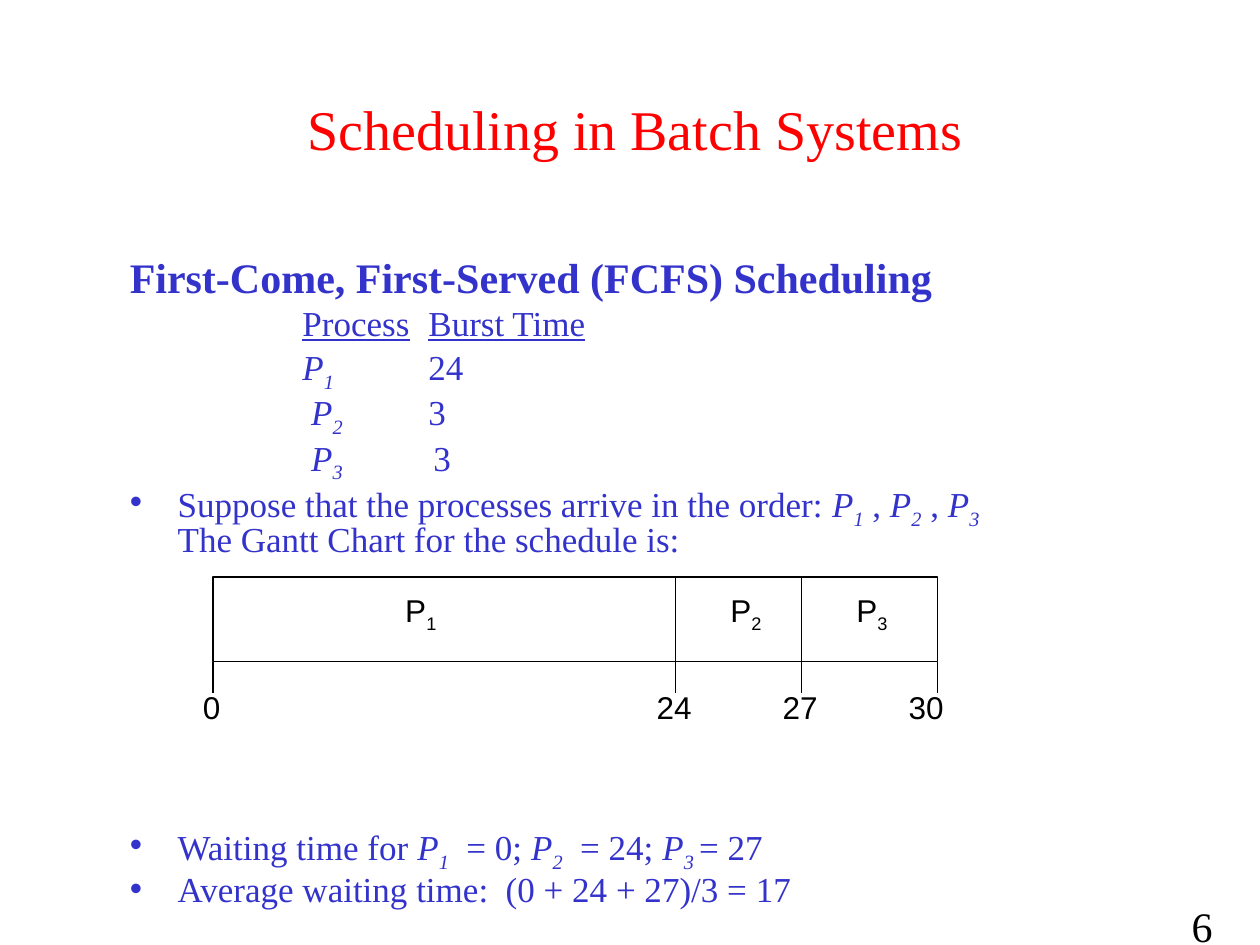
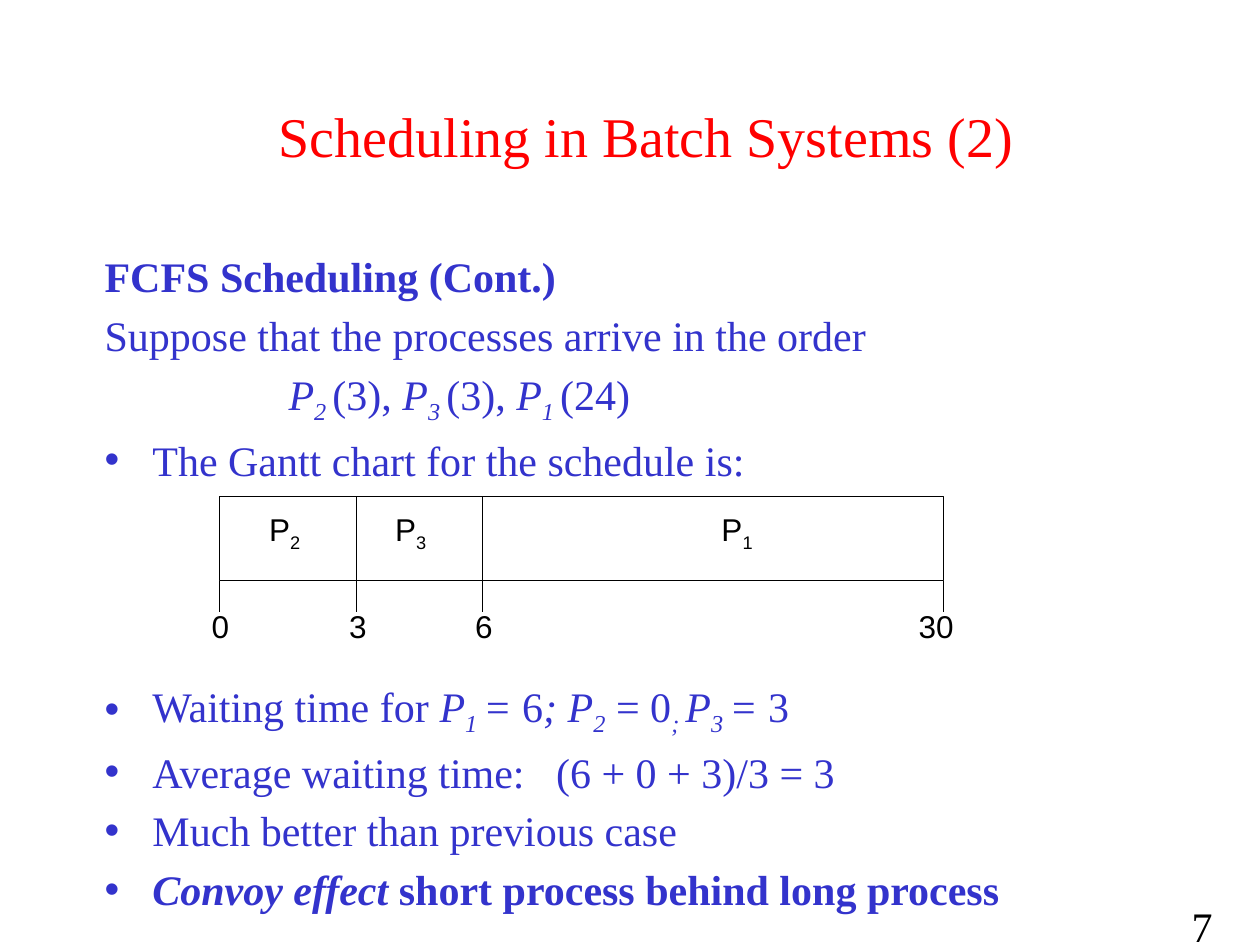
from dataclasses import dataclass

from lxml import etree
from pptx import Presentation
from pptx.dml.color import RGBColor
from pptx.enum.shapes import MSO_CONNECTOR, MSO_SHAPE
from pptx.enum.text import MSO_ANCHOR, MSO_AUTO_SIZE, PP_ALIGN
from pptx.oxml.ns import qn
from pptx.util import Inches, Pt

CENTER = PP_ALIGN.CENTER
MIDDLE = MSO_ANCHOR.MIDDLE
NO_AUTOFIT = MSO_AUTO_SIZE.NONE
STRAIGHT = MSO_CONNECTOR.STRAIGHT
RECTANGLE = MSO_SHAPE.RECTANGLE


@dataclass(frozen=True)
class Theme:
    title_color: RGBColor = RGBColor(0xFF, 0, 0)
    body_color: RGBColor = RGBColor(0x33, 0x33, 0xCC)
    ink: RGBColor = RGBColor(0, 0, 0)
    paper: RGBColor = RGBColor(0xFF, 0xFF, 0xFF)
    serif: str = "Times New Roman"
    sans: str = "Arial"
    title_size: int = 32
    heading_size: int = 24
    detail_size: int = 20
    chart_size: int = 18
    line_width: float = 0.75


THEME = Theme()
HANGING = 0.38
BAR_WIDTH, BAR_HEIGHT, TICK_LENGTH = 5.75, 0.67, 0.25


@dataclass
class Item:
    """A body paragraph; each run is (text, flags): b, i, u, s for subscript."""
    runs: list
    size: int = THEME.heading_size
    bullet: bool = False
    before: float = 4.8
    margin: float = HANGING
    indent: float = -HANGING


def process(number, tail=""):
    return [("P", "i"), (f"{number}{tail}", "is")]


# Text
def format_run(run, font_name, size, color, flags=""):
    font = run.font
    font.name, font.size = font_name, Pt(size)
    font.color.rgb = color
    font.bold, font.italic = "b" in flags, "i" in flags
    font.underline = "u" in flags
    if "s" in flags:
        run._r.get_or_add_rPr().set("baseline", "-25000")


def add_runs(paragraph, runs, font_name, size, color):
    for text, flags in runs:
        run = paragraph.add_run()
        run.text = text
        format_run(run, font_name, size, color, flags)


def place(shape, left, top, width, height):
    shape.left, shape.top = Inches(left), Inches(top)
    shape.width, shape.height = Inches(width), Inches(height)


def set_title(slide, text, box):
    title = slide.shapes.title
    place(title, *box)
    text_frame = title.text_frame
    text_frame.text = text
    text_frame.auto_size = NO_AUTOFIT
    text_frame.vertical_anchor = MIDDLE
    paragraph = text_frame.paragraphs[0]
    paragraph.alignment = CENTER
    format_run(paragraph.runs[0], THEME.serif, THEME.title_size, THEME.title_color)


def set_bullet(paragraph, visible):
    properties = paragraph._p.get_or_add_pPr()
    if visible:
        etree.SubElement(properties, qn("a:buChar")).set("char", "•")
    else:
        etree.SubElement(properties, qn("a:buNone"))


def set_body(slide, items, box, line_spacing):
    body = slide.placeholders[1]
    place(body, *box)
    text_frame = body.text_frame
    text_frame.auto_size = NO_AUTOFIT
    for index, item in enumerate(items):
        paragraph = text_frame.add_paragraph() if index else text_frame.paragraphs[0]
        paragraph.line_spacing = line_spacing
        paragraph.space_before = Pt(item.before)
        properties = paragraph._p.get_or_add_pPr()
        properties.set("marL", str(Inches(item.margin)))
        properties.set("indent", str(Inches(item.indent)))
        set_bullet(paragraph, item.bullet)
        add_runs(paragraph, item.runs, THEME.serif, item.size, THEME.body_color)


def add_slide_number(slide, number):
    box = slide.shapes.add_textbox(Inches(9.36), Inches(7.1), Inches(0.54), Inches(0.4))
    box.text_frame.word_wrap = True
    add_runs(box.text_frame.paragraphs[0], [(str(number), "")],
             THEME.serif, THEME.heading_size, THEME.ink)


# Gantt chart
def add_label(shapes, runs, center, top):
    width = 0.48
    box = shapes.add_textbox(Inches(center - width / 2), Inches(top),
                             Inches(width), Inches(0.4))
    box.text_frame.vertical_anchor = MIDDLE
    box.text_frame.word_wrap = True
    paragraph = box.text_frame.paragraphs[0]
    paragraph.alignment = CENTER
    add_runs(paragraph, runs, THEME.sans, THEME.chart_size, THEME.ink)


def add_vertical_line(shapes, x, top, bottom):
    line = shapes.add_connector(STRAIGHT, Inches(x), Inches(top), Inches(x), Inches(bottom))
    line.line.color.rgb = THEME.ink
    line.line.width = Pt(THEME.line_width)
    etree.SubElement(line._element.spPr, qn("a:effectLst"))


def add_gantt_chart(slide, left, top, bars, marks):
    """bars: (process number, label center); marks: (edge, time, label center)."""
    shapes = slide.shapes.add_group_shape().shapes
    bottom = top + BAR_HEIGHT
    frame = shapes.add_shape(RECTANGLE, Inches(left), Inches(top),
                             Inches(BAR_WIDTH), Inches(BAR_HEIGHT))
    frame.shadow.inherit = False
    frame.fill.solid()
    frame.fill.fore_color.rgb = THEME.paper
    frame.line.color.rgb = THEME.ink
    frame.line.width = Pt(THEME.line_width)
    for number, center in bars:
        add_label(shapes, [("P", ""), (str(number), "s")], center, top + 0.08)
    for edge, _, _ in marks[1:-1]:
        add_vertical_line(shapes, edge, top, bottom)
    for edge, time, center in marks:
        add_vertical_line(shapes, edge, bottom, bottom + TICK_LENGTH)
        add_label(shapes, [(str(time), "")], center, top + 0.83)


# Slides
def add_slide(presentation, number, title, title_box, items, body_box, line_spacing=1.0):
    slide = presentation.slides.add_slide(presentation.slide_layouts[1])
    add_slide_number(slide, number)
    set_title(slide, title, title_box)
    set_body(slide, items, body_box, line_spacing)
    return slide


def add_arrival_order_slide(presentation):
    small = THEME.detail_size

    def row(runs, start=1.37, column=2.37, before=4):
        return Item(runs, small, before=before, margin=column, indent=start - column)

    items = [
        Item([("First-Come, First-Served (FCFS) Scheduling", "b")], before=0),
        row([("Process", "u"), ("\t", ""), ("Burst Time", "u")], before=4.8),
        row(process(1) + [("\t24", "")]),
        row(process(2) + [("\t3", "")], start=1.44),
        row(process(3) + [("\t3", "")], start=1.44, column=2.41),
        Item([("Suppose that the processes arrive in the order: ", ""), *process(1),
              (" , ", ""), *process(2), (" , ", ""), *process(3)], small, bullet=True),
        Item([("The Gantt Chart for the schedule is:", "")], small, before=0, indent=0),
        Item([("Waiting time for ", ""), *process(1), ("  = 0; ", ""), *process(2),
              ("  = 24; ", ""), *process(3, " "), ("= 27", "")],
             small, bullet=True, before=155),
        Item([("Average waiting time:  (0 + 24 + 27)/3 = 17", "")],
             small, bullet=True, before=4),
    ]
    slide = add_slide(presentation, 6, "Scheduling in Batch Systems", (0.72, 0.7, 8.64, 0.64),
                      items, (0.93, 2.02, 8.27, 5.12), line_spacing=0.8)
    add_gantt_chart(slide, 1.69, 4.58, [(1, 3.34), (2, 5.92), (3, 6.92)],
                    [(1.69, 0, 1.68), (5.36, 24, 5.35), (6.36, 27, 6.35), (7.44, 30, 7.35)])


def add_better_order_slide(presentation):
    items = [
        Item([("FCFS Scheduling (Cont.)", "b")], before=0),
        Item([("Suppose that the processes arrive in the order", "")]),
        Item([*process(2, " "), ("(3), ", ""), *process(3, " "), ("(3), ", ""),
              *process(1, " "), ("(24)", "")], margin=1.46, indent=0),
        Item([("The Gantt chart for the schedule is:", "")], bullet=True),
        Item([("Waiting time for ", ""), *process(1, " "), ("=", "i"), (" 6", ""),
              ("; ", "i"), *process(2), (" = 0", ""), ("; ", "is"), *process(3, " "),
              ("= ", "i"), ("3", "")], bullet=True, before=112),
        Item([("Average waiting time:   (6 + 0 + 3)/3 = 3", "")], bullet=True),
        Item([("Much better than previous case", "")], bullet=True),
        Item([("Convoy effect", "bi"), (" short process behind long process", "b")],
             bullet=True),
    ]
    slide = add_slide(presentation, 7, "Scheduling in Batch Systems (2)",
                      (0.88, 0.45, 8.5, 1.25), items, (0.73, 1.94, 8.5, 5.19))
    add_gantt_chart(slide, 1.74, 3.94, [(2, 2.26), (3, 3.26), (1, 5.85)],
                    [(1.74, 0, 1.75), (2.83, 3, 2.84), (3.83, 6, 3.84), (7.49, 30, 7.43)])


def main():
    presentation = Presentation()
    presentation.slide_width, presentation.slide_height = Inches(10), Inches(7.5)
    add_arrival_order_slide(presentation)
    add_better_order_slide(presentation)
    presentation.save("out.pptx")


if __name__ == "__main__":
    main()
